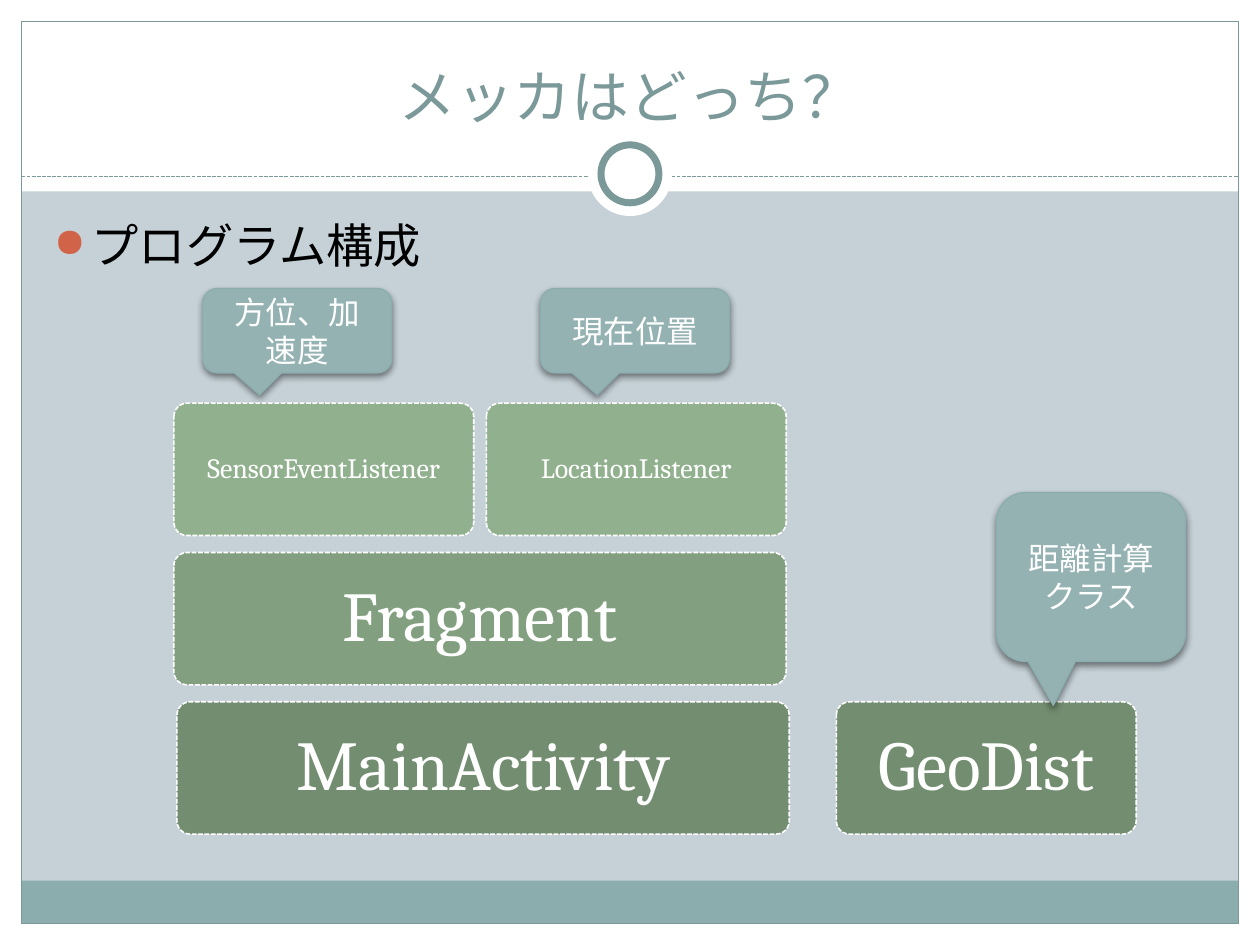
from lxml import etree
from pptx import Presentation, util as u
from pptx.dml.color import RGBColor
from pptx.enum import dml, shapes, text
from pptx.oxml import parse_xml
from pptx.oxml.ns import nsdecls, qn

WHITE = RGBColor(0xFF, 0xFF, 0xFF)
BLACK = RGBColor(0, 0, 0)
GROUND = RGBColor(0xC5, 0xD1, 0xD7)
FOOTER = RGBColor(0x8C, 0xAD, 0xAE)
TEAL = RGBColor(0x7C, 0x99, 0x9A)
CALLOUT = RGBColor(0x95, 0xB2, 0xB3)
DARK_GREEN = RGBColor(0x73, 0x8D, 0x70)
MID_GREEN = RGBColor(0x82, 0xA0, 0x7F)
LIGHT_GREEN = RGBColor(0x91, 0xB1, 0x8E)

WIDTH, HEIGHT = 10, 7.5
MARGIN = 0.17
KIND = shapes.MSO_SHAPE
DASH = dml.MSO_LINE.SQUARE_DOT  # sysDash is set by this member's XML value

deck = Presentation()
deck.slide_width, deck.slide_height = u.Inches(WIDTH), u.Inches(HEIGHT)
page = deck.slides.add_slide(deck.slide_layouts[6])
page.background.fill.solid()
page.background.fill.fore_color.rgb = GROUND


def add_shape(kind, area, fill=None, line=None, weight=0.75):
    """Add a shape without shadow; area is left, top, width, height in inches."""
    shape = page.shapes.add_shape(kind, *(u.Inches(length) for length in area))
    shape.shadow.inherit = False
    if fill is None:
        shape.fill.background()
    else:
        shape.fill.solid()
        shape.fill.fore_color.rgb = fill
    if line is None:
        shape.line.fill.background()
    else:
        shape.line.color.rgb = line
        shape.line.width = u.Pt(weight)
    return shape


def write(box, words, size, color, anchor, align):
    """Fill the box with one wrapped paragraph and return that paragraph."""
    frame = box.text_frame
    frame.word_wrap = True
    frame.vertical_anchor = anchor
    para = frame.paragraphs[0]
    para.text = words
    para.alignment = align
    para.font.size = u.Pt(size)
    para.font.name = "Cambria"
    para.font.color.rgb = color
    return para


# Page frame
for area in (
    (0, HEIGHT - MARGIN, WIDTH, MARGIN),
    (0, 0, WIDTH, 1.52),
    (0, 0, MARGIN, HEIGHT),
    (WIDTH - MARGIN, 0, MARGIN, HEIGHT),
):
    add_shape(KIND.RECTANGLE, area, WHITE)
inner = WIDTH - 2 * MARGIN
add_shape(KIND.RECTANGLE, (MARGIN, 6.99, inner, 0.34), FOOTER)
add_shape(KIND.RECTANGLE, (MARGIN, MARGIN, inner, HEIGHT - 2 * MARGIN), line=TEAL)

rule = page.shapes.add_connector(
    shapes.MSO_CONNECTOR.STRAIGHT,
    u.Inches(MARGIN), u.Inches(1.4), u.Inches(WIDTH - MARGIN), u.Inches(1.4))
rule.line.color.rgb = TEAL
rule.line.width = u.Pt(0.75)
rule.line.dash_style = DASH
rule.line._ln.find(qn("a:prstDash")).set("val", "sysDash")
etree.SubElement(rule._element.spPr, qn("a:effectLst"))

for diameter, line in ((0.67, None), (0.46, TEAL)):
    ring = ((WIDTH - diameter) / 2, 1.38 - diameter / 2, diameter, diameter)
    add_shape(KIND.OVAL, ring, WHITE, line, 4)

# Title and bullet
title = page.shapes.add_textbox(*(u.Inches(n) for n in (0.33, 0.25, 9.33, 0.83)))
write(title, "メッカはどっち？", 33, TEAL, text.MSO_ANCHOR.BOTTOM, text.PP_ALIGN.CENTER)

body = page.shapes.add_textbox(*(u.Inches(n) for n in (0.33, 1.67, 9.3, 5)))
bullet = write(body, "プログラム構成", 27, BLACK, text.MSO_ANCHOR.TOP, text.PP_ALIGN.LEFT)
bullet.space_before = u.Pt(5.4)
props = bullet._p.get_or_add_pPr()
props.set("marL", str(u.Inches(0.3)))
props.set("indent", str(u.Inches(-0.3)))
marks = (
    '<a:buClr {}><a:srgbClr val="D16349"/></a:buClr>',
    '<a:buSzPct {} val="85000"/>',
    '<a:buChar {} char="●"/>',
)
first_font = props.find(qn("a:defRPr"))
for mark in marks:
    element = parse_xml(mark.format(nsdecls("a")))
    if first_font is None:
        props.append(element)
    else:
        first_font.addprevious(element)

# Class blocks: left column, row, columns spanned
LEFT, TOP = 1.38, 3.2
BLOCK_W, BLOCK_H, GAP = 2.38, 1.05, 0.1
COLUMN, ROW = BLOCK_W + GAP, 1.185
blocks = (
    ("MainActivity", 0.01, 2, 2, DARK_GREEN, 40, 0.2),
    ("Fragment", 0, 1, 2, MID_GREEN, 40, 0.2),
    ("SensorEventListener", 0, 0, 1, LIGHT_GREEN, 16, 0.1),
    ("LocationListener", 1, 0, 1, LIGHT_GREEN, 16, 0.1),
    ("GeoDist", 2.12, 2, 1, DARK_GREEN, 40, 0.2),
)
for name, column, row, span, fill, size, inset in blocks:
    area = (LEFT + column * COLUMN, TOP + row * ROW, span * COLUMN - GAP, BLOCK_H)
    block = add_shape(KIND.ROUNDED_RECTANGLE, area, fill, WHITE, 0.9)
    block.adjustments[0] = 0.1
    block.line.dash_style = DASH
    block.line._ln.find(qn("a:prstDash")).set("val", "sysDash")
    frame = block.text_frame
    frame.margin_left = frame.margin_right = u.Inches(inset)
    frame.margin_top = frame.margin_bottom = u.Inches(inset)
    para = write(block, name, size, WHITE, text.MSO_ANCHOR.MIDDLE, text.PP_ALIGN.CENTER)
    para.line_spacing = 0.9

# Callouts
SHADOW = (
    '<a:outerShdw {} blurRad="50800" dist="25400" dir="5400000" rotWithShape="0">'
    '<a:srgbClr val="000000"><a:alpha val="45000"/></a:srgbClr></a:outerShdw>'
)
for words, left, top, height in (
    ("距離計算クラス", 7.91, 3.91, 1.34),
    ("方位、加速度", 1.61, 2.29, 0.67),
    ("現在位置", 4.29, 2.29, 0.67),
):
    callout = add_shape(
        KIND.ROUNDED_RECTANGULAR_CALLOUT, (left, top, 1.5, height), CALLOUT, FOOTER)
    for index, value in enumerate((-0.2, 0.76, 0.17)):
        callout.adjustments[index] = value
    effects = callout._element.spPr.find(qn("a:effectLst"))
    effects.append(parse_xml(SHADOW.format(nsdecls("a"))))
    write(callout, words, 18, WHITE, text.MSO_ANCHOR.MIDDLE, text.PP_ALIGN.CENTER)

deck.save("out.pptx")
